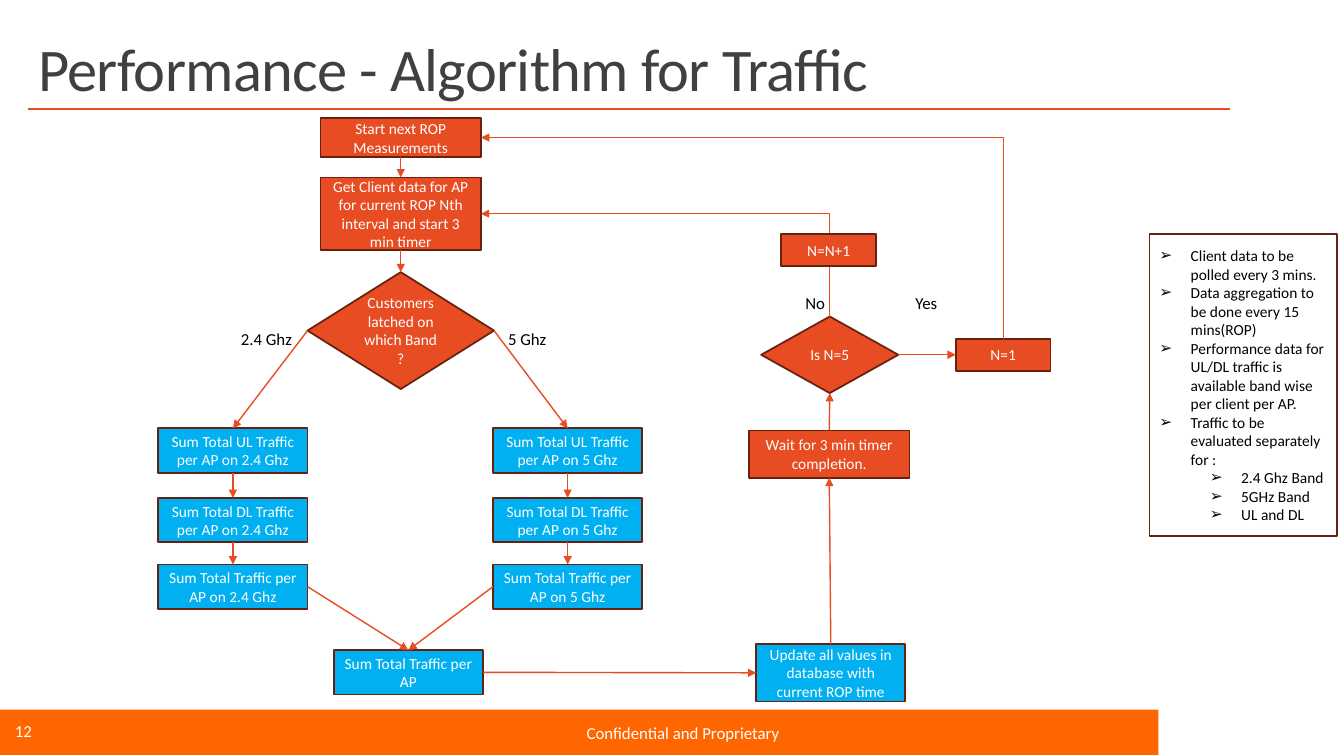
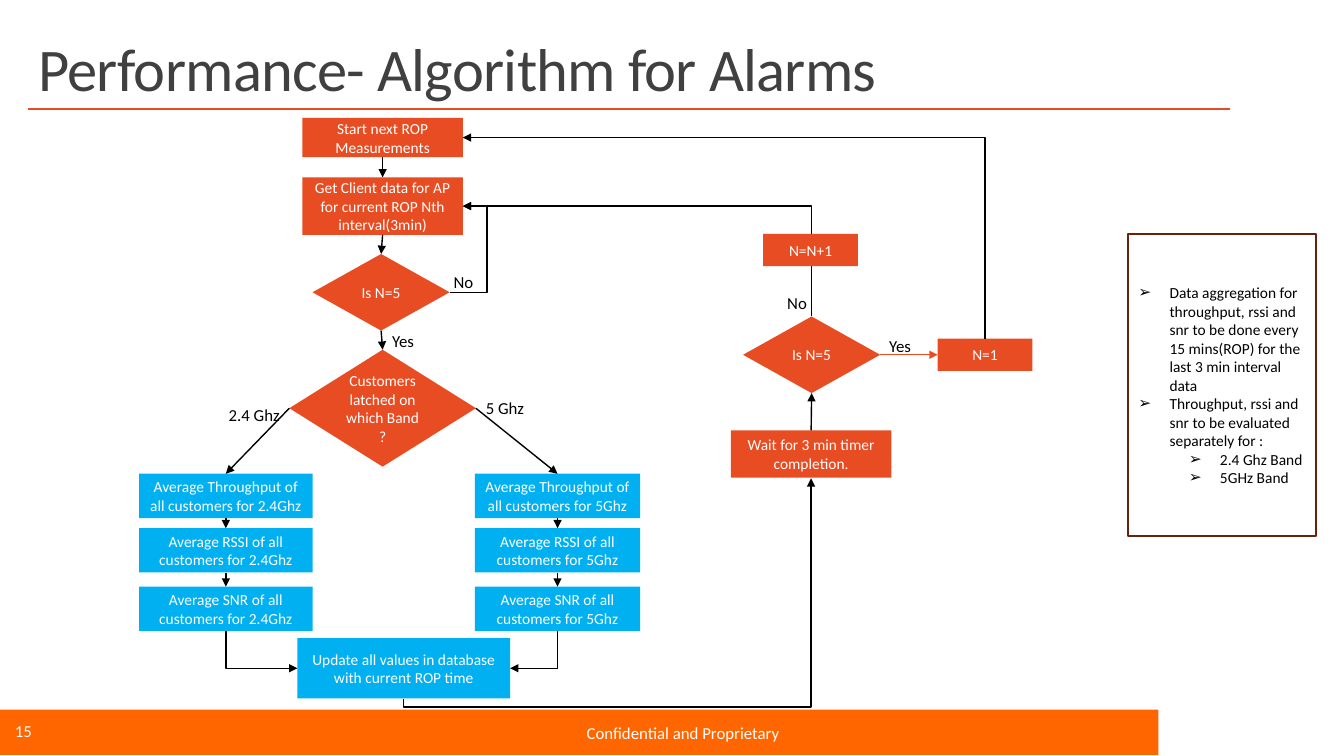
"""Build two flowchart slides on the traffic and alarm algorithms."""
from dataclasses import dataclass

from lxml.etree import SubElement
from pptx import Presentation
from pptx.dml.color import RGBColor
from pptx.enum.shapes import MSO_CONNECTOR as Route, MSO_SHAPE as Preset
from pptx.enum.text import MSO_ANCHOR as Anchor, MSO_AUTO_SIZE as AutoSize, PP_ALIGN as Align
from pptx.oxml.ns import qn
from pptx.util import Inches, Pt


@dataclass(frozen=True)
class Theme:
    font: str = "Calibri"
    orange: str = "E84C22"
    blue: str = "00B0F0"
    brown: str = "66210F"
    band: str = "FF6600"
    title: str = "404040"
    black: str = "000000"
    white: str = "FFFFFF"
    title_size: float = 43.2
    label_size: float = 12
    node_size: float = 11


THEME = Theme()
TOP, LEFT, BOTTOM, RIGHT = range(4)
BOX, DIAMOND = Preset.RECTANGLE, Preset.DIAMOND


def write(frame, text, *, size=THEME.node_size, color=THEME.black, align=Align.LEFT,
          anchor=Anchor.TOP, wrap=True, line_spacing=None, tracking=None,
          bullet=None, level=0):
    """Add one formatted paragraph to a text frame."""
    frame.word_wrap = wrap
    frame.vertical_anchor = anchor
    frame.auto_size = AutoSize.NONE if wrap else AutoSize.SHAPE_TO_FIT_TEXT
    paragraph = frame.add_paragraph() if frame.text else frame.paragraphs[0]
    paragraph.alignment = align
    paragraph.level = level
    paragraph.space_before = Pt(0)
    if line_spacing:
        paragraph.line_spacing = line_spacing
    run = paragraph.add_run()
    run.text = text
    run.font.name = THEME.font
    run.font.size = Pt(size)
    run.font.color.rgb = RGBColor.from_string(color)
    if tracking:
        run.font._element.set("spc", str(tracking))
    if bullet:
        properties = paragraph._p.get_or_add_pPr()
        properties.set("marL", str(Inches(0.31 + 0.5 * level)))
        properties.set("indent", str(Inches(-0.31)))
        SubElement(properties, qn("a:buChar")).set("char", bullet)


def draw_line(slide, color, *, points=(0, 0, 0, 0), ends=None, width=1,
              route=Route.STRAIGHT, preset=None, arrow="tailEnd"):
    """Draw a line between points, or join the sides of two shapes."""
    connector = slide.shapes.add_connector(route, *map(Inches, points))
    if ends:
        begin, begin_side, end, end_side = ends
        connector.begin_connect(begin, begin_side)
        connector.end_connect(end, end_side)
    connector.line.color.rgb = RGBColor.from_string(color)
    connector.line.width = Pt(width)
    properties = connector._element.spPr
    if preset:
        properties.find(qn("a:prstGeom")).set("prst", preset)
    if arrow:
        SubElement(properties.find(qn("a:ln")), qn(f"a:{arrow}")).set("type", "triangle")
    SubElement(properties, qn("a:effectLst"))
    return connector


PAGES = [
    {
        "title": "Performance - Algorithm for Traffic",
        "title_width": 11.92,
        "number": "12",
        "shift": 0,
        "outline": THEME.brown,
        "line": THEME.orange,
        "get": (0.72, "Get Client data for AP for current ROP Nth interval and start 3 min timer"),
        "band_top": 2.7,
        "columns": {"left": (1.57, 1.48, "2.4 Ghz"), "right": (4.89, 1.48, "5 Ghz")},
        "steps": [(4.25, "Sum Total UL Traffic per AP on"),
                  (4.94, "Sum Total DL Traffic per AP on"),
                  (5.6, "Sum Total Traffic per AP on")],
        "nodes": {
            "total": (BOX, THEME.blue, 3.31, 6.45, 1.48, 0.44, "Sum Total Traffic per AP"),
            "update": (BOX, THEME.blue, 7.5, 6.39, 1.48, 0.57,
                       "Update all values in database with current ROP time"),
        },
        "links": [("get", BOTTOM, "band", TOP),
                  ("left2", RIGHT, "total", TOP), ("right2", LEFT, "total", TOP),
                  ("total", RIGHT, "update", LEFT), ("update", TOP, "wait", BOTTOM)],
        "corners": [],
        "labels": [(2.29, 3.21, 0.72, "2.4 Ghz"), (4.94, 3.21, 0.59, "5 Ghz"),
                   (7.89, 2.86, 0.4, "No"), (8.98, 2.86, 0.42, "Yes")],
        "panel_left": 11.4,
        "panel": [(0, "Client data to be polled every 3 mins."),
                  (0, "Data aggregation to be done every 15 mins(ROP)"),
                  (0, "Performance data for UL/DL traffic is available band wise per client per AP."),
                  (0, "Traffic to be evaluated separately for :"),
                  (1, "2.4 Ghz Band"), (1, "5GHz Band"), (1, "UL and DL")],
    },
    {
        "title": "Performance- Algorithm for Alarms",
        "title_width": 12.87,
        "number": "15",
        "shift": -0.18,
        "outline": None,
        "line": THEME.black,
        "get": (0.57, "Get Client data for AP for current ROP Nth interval(3min)"),
        "band_top": 3.47,
        "columns": {"left": (1.38, 1.72, "2.4Ghz"), "right": (4.71, 1.64, "5Ghz")},
        "steps": [(4.7, "Average Throughput of all customers for"),
                  (5.24, "Average RSSI of all customers for"),
                  (5.82, "Average SNR of all customers for")],
        "nodes": {
            "gate": (DIAMOND, THEME.orange, 3.1, 2.52, 1.36, 0.76, "Is N=5"),
            "update": (BOX, THEME.blue, 2.95, 6.33, 2.11, 0.6,
                       "Update all values in database with current ROP time"),
        },
        "links": [("get", BOTTOM, "gate", TOP), ("gate", BOTTOM, "band", TOP)],
        "corners": [("update", LEFT, "left2", BOTTOM), ("update", RIGHT, "right2", BOTTOM)],
        "labels": [(2.17, 3.97, 0.72, "2.4 Ghz"), (4.72, 3.9, 0.59, "5 Ghz"),
                   (7.71, 2.86, 0.4, "No"), (8.72, 3.28, 0.42, "Yes"),
                   (4.4, 2.65, 0.4, "No"), (3.79, 3.23, 0.42, "Yes")],
        "panel_left": 11.19,
        "panel": [(0, "Data aggregation for throughput, rssi and snr to be done every "
                      "15 mins(ROP) for the last 3 min interval data"),
                  (0, "Throughput, rssi and snr to be evaluated separately for :"),
                  (1, "2.4 Ghz Band"), (1, "5GHz Band")],
    },
]
SHARED_LINKS = [
    ("start", BOTTOM, "get", TOP),
    ("band", LEFT, "left0", TOP), ("band", RIGHT, "right0", TOP),
    ("left0", BOTTOM, "left1", TOP), ("left1", BOTTOM, "left2", TOP),
    ("right0", BOTTOM, "right1", TOP), ("right1", BOTTOM, "right2", TOP),
    ("wait", TOP, "check", BOTTOM),
]
SHARED_CORNERS = [("get", RIGHT, "check", TOP), ("start", RIGHT, "reset", TOP)]

presentation = Presentation()
presentation.slide_width = Inches(13.33)
presentation.slide_height = Inches(7.5)
layout = presentation.slide_layouts[1]
for placeholder in list(layout.placeholders)[2:]:
    placeholder._element.getparent().remove(placeholder._element)
slides = [presentation.slides.add_slide(layout) for page in PAGES]

footer_band = slides[0].shapes.add_shape(BOX, 0, Inches(7.04), Inches(11.49), Inches(0.45))
footer_band.shadow.inherit = False
footer_band.fill.solid()
footer_band.fill.fore_color.rgb = RGBColor.from_string(THEME.band)
footer_band.line.fill.background()
title_rule = draw_line(slides[0], THEME.orange, points=(0.28, 1.08, 12.2, 1.08),
                       width=1.5, arrow=None)
for shape in (title_rule, footer_band):
    layout.shapes._spTree.insert(2, shape._element)

for slide, page in zip(slides, PAGES):
    title = slide.shapes.title
    title.left, title.top = Inches(0.28), Inches(0.31)
    title.width, title.height = Inches(page["title_width"]), Inches(0.77)
    write(title.text_frame, page["title"], size=THEME.title_size, color=THEME.title,
          anchor=Anchor.BOTTOM, line_spacing=0.85, tracking=-50)

    panel = slide.placeholders[1]
    panel.left, panel.top = Inches(page["panel_left"]), Inches(2.32)
    panel.width, panel.height = Inches(1.86), Inches(3)
    panel.line.color.rgb = RGBColor.from_string(THEME.brown)
    panel.line.width = Pt(1.25)
    for level, text in page["panel"]:
        write(panel.text_frame, text, anchor=Anchor.MIDDLE, bullet="➢", level=level)

    for left, top, width, text in [(5.72, 7.12, 5.27, "Confidential and Proprietary"),
                                   (0.05, 7.1, 1.43, page["number"])]:
        footer = slide.shapes.add_textbox(*map(Inches, (left, top, width, 0.4)))
        write(footer.text_frame, text, size=THEME.label_size, color=THEME.white)

    shift = page["shift"]
    get_height, get_text = page["get"]
    nodes = {
        "start": (BOX, THEME.orange, 3.18 + shift, 1.17, 1.59, 0.39,
                  "Start next ROP Measurements"),
        "get": (BOX, THEME.orange, 3.18 + shift, 1.76, 1.59, get_height, get_text),
        "band": (DIAMOND, THEME.orange, 3.05 + shift, page["band_top"], 1.85, 1.16,
                 "Customers latched on which Band ?"),
        "wait": (BOX, THEME.orange, 7.43 + shift, 4.27, 1.59, 0.47,
                 "Wait for 3 min timer completion."),
        "check": (DIAMOND, THEME.orange, 7.55 + shift, 3.14, 1.36, 0.76, "Is N=5"),
        "reset": (BOX, THEME.orange, 9.48 + shift, 3.36, 0.94, 0.32, "N=1"),
        **page["nodes"],
    }
    for side, (left, width, band) in page["columns"].items():
        for index, (top, text) in enumerate(page["steps"]):
            nodes[f"{side}{index}"] = (BOX, THEME.blue, left, top, width, 0.44,
                                       f"{text} {band}")
    nodes["next"] = (BOX, THEME.orange, 7.75 + shift, 2.32, 0.94, 0.32, "N=N+1")

    shapes = {}
    for name, (preset, fill, left, top, width, height, text) in nodes.items():
        shape = slide.shapes.add_shape(preset, *map(Inches, (left, top, width, height)))
        shape.shadow.inherit = False
        shape.fill.solid()
        shape.fill.fore_color.rgb = RGBColor.from_string(fill)
        if page["outline"]:
            shape.line.color.rgb = RGBColor.from_string(page["outline"])
            shape.line.width = Pt(1.25)
        else:
            shape.line.fill.background()
        write(shape.text_frame, text, color=THEME.white, align=Align.CENTER,
              anchor=Anchor.MIDDLE)
        shapes[name] = shape

    for begin, begin_side, end, end_side in SHARED_LINKS + page["links"]:
        draw_line(slide, page["line"], ends=(shapes[begin], begin_side, shapes[end], end_side))
    draw_line(slide, THEME.orange, ends=(shapes["check"], RIGHT, shapes["reset"], LEFT))
    for begin, begin_side, end, end_side in SHARED_CORNERS + page["corners"]:
        draw_line(slide, page["line"], ends=(shapes[begin], begin_side, shapes[end], end_side),
                  route=Route.ELBOW, preset="bentConnector2", arrow="headEnd")

    if "gate" in shapes:
        retry = draw_line(slide, page["line"], route=Route.ELBOW,
                          ends=(shapes["gate"], RIGHT, shapes["get"], RIGHT))
        store = draw_line(slide, page["line"], route=Route.ELBOW,
                          ends=(shapes["update"], BOTTOM, shapes["wait"], BOTTOM))
        store.left, store.top = Inches(4.93), Inches(3.82)
        store.width, store.height = Inches(2.19), Inches(4.04)
        transform = store._element.spPr.find(qn("a:xfrm"))
        for key, value in {"rot": "5400000", "flipH": "1", "flipV": "1"}.items():
            transform.set(key, value)
        bend = round(Inches(0.37) / retry.width * 100000)
        for connector, amount in ((retry, bend), (store, -3600)):
            guides = connector._element.spPr.find(qn("a:prstGeom")).find(qn("a:avLst"))
            guide = SubElement(guides, qn("a:gd"))
            guide.set("name", "adj1")
            guide.set("fmla", f"val {amount}")

    slide.shapes._spTree.append(shapes["next"]._element)
    for left, top, width, text in page["labels"]:
        label = slide.shapes.add_textbox(*map(Inches, (left, top, width, 0.3)))
        write(label.text_frame, text, size=THEME.label_size, wrap=False)

presentation.save("out.pptx")
